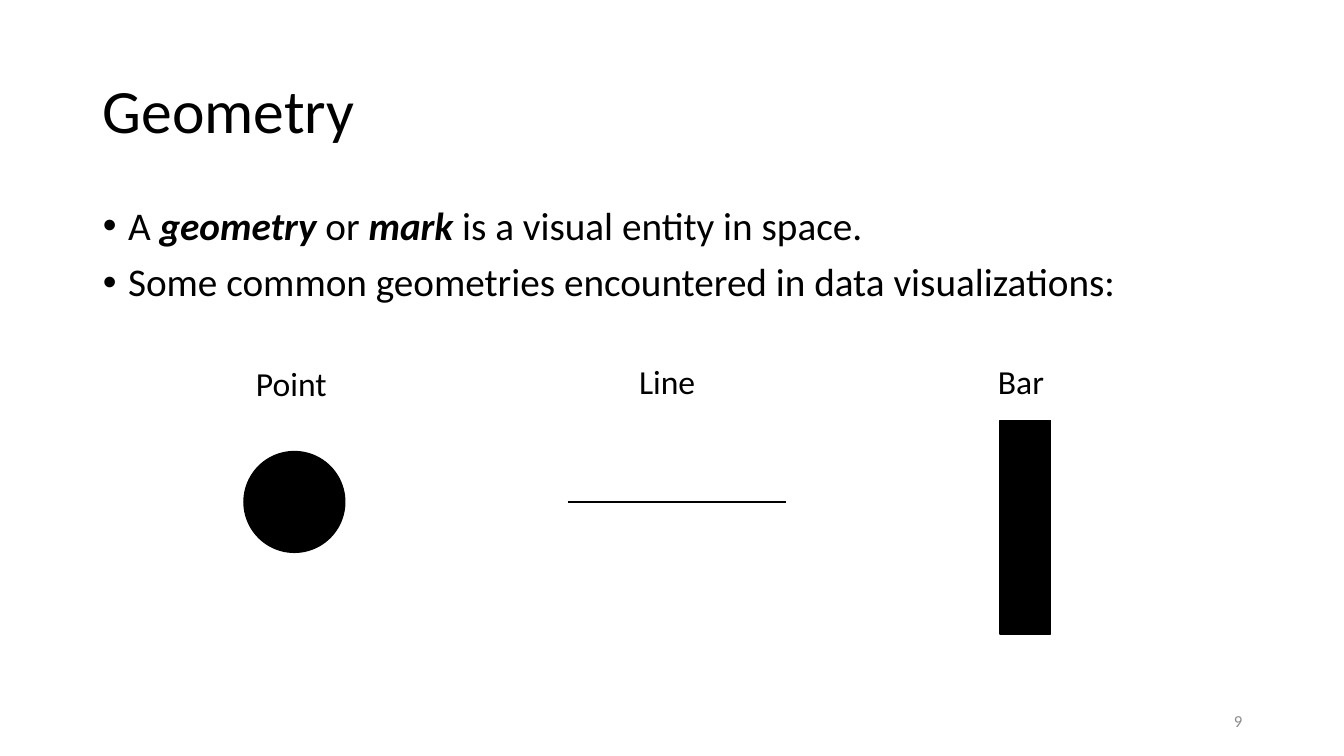
from pptx import Presentation
from pptx.dml.color import RGBColor
from pptx.enum.shapes import MSO_CONNECTOR, MSO_SHAPE
from pptx.enum.text import MSO_ANCHOR, MSO_AUTO_SIZE, PP_ALIGN
from pptx.oxml.ns import qn
from pptx.util import Inches, Pt
from lxml import etree

BLACK = RGBColor(0x00, 0x00, 0x00)
GRAY = RGBColor(0x8C, 0x8C, 0x8C)


def place(shape, left, top, width, height):
    shape.left, shape.top = Inches(left), Inches(top)
    shape.width, shape.height = Inches(width), Inches(height)


def format_paragraph(paragraph, size, color=BLACK, line_spacing=0.9):
    paragraph.line_spacing = line_spacing
    paragraph.font.name = "Calibri"
    paragraph.font.size = Pt(size)
    paragraph.font.color.rgb = color


prs = Presentation()
prs.slide_width, prs.slide_height = Inches(13.33), Inches(7.5)
slide = prs.slides.add_slide(prs.slide_layouts[1])
title, body = slide.placeholders

# Title
place(title, 0.92, 0.4, 11.5, 1.45)
title.text_frame.text = "Geometry"
title.text_frame.vertical_anchor = MSO_ANCHOR.MIDDLE
title.text_frame.auto_size = MSO_AUTO_SIZE.NONE
heading = title.text_frame.paragraphs[0]
heading.alignment = PP_ALIGN.LEFT
format_paragraph(heading, 44)

# Definition list: (text, emphasized) runs for each bullet
bullets = [
    [("A ", False), ("geometry ", True), ("or ", False), ("mark ", True),
     ("is a visual entity in space.", False)],
    [("Some common geometries encountered in data visualizations:", False)],
]
place(body, 0.92, 2, 11.5, 4.76)
body.text_frame.auto_size = MSO_AUTO_SIZE.NONE
for index, runs in enumerate(bullets):
    bullet = body.text_frame.paragraphs[0] if index == 0 else body.text_frame.add_paragraph()
    properties = bullet._p.get_or_add_pPr()
    properties.set("marL", str(Inches(0.25)))
    properties.set("indent", str(-Inches(0.25)))
    etree.SubElement(properties, qn("a:buFont")).set("typeface", "Arial")
    etree.SubElement(properties, qn("a:buChar")).set("char", "•")
    bullet.space_before = Pt(10 if index else 0)
    format_paragraph(bullet, 28)
    for text, emphasized in runs:
        run = bullet.add_run()
        run.text = text
        if emphasized:
            run.font.bold = run.font.italic = True

# Sample geometries
point = slide.shapes.add_shape(
    MSO_SHAPE.OVAL, Inches(2.42), Inches(4.48), Inches(1), Inches(1))
line = slide.shapes.add_connector(
    MSO_CONNECTOR.STRAIGHT, Inches(5.63), Inches(4.98), Inches(7.8), Inches(4.98))
etree.SubElement(line._element.spPr, qn("a:effectLst"))
bar = slide.shapes.add_shape(
    MSO_SHAPE.RECTANGLE, Inches(9.92), Inches(4.17), Inches(0.5), Inches(2.12))
for mark in (point, bar):
    mark.shadow.inherit = False
    mark.fill.solid()
    mark.fill.fore_color.rgb = BLACK
for mark in (point, line, bar):
    mark.line.color.rgb = BLACK
    mark.line.width = Pt(1)

# Labels above the geometries
for name, left, top, width in [
    ("Point", 2.44, 3.6, 0.91),
    ("Line", 6.24, 3.58, 0.77),
    ("Bar", 9.8, 3.58, 0.66),
]:
    label = slide.shapes.add_textbox(
        Inches(left), Inches(top), Inches(width), Inches(0.46)).text_frame
    label.text = name
    label.word_wrap = False
    label.auto_size = MSO_AUTO_SIZE.SHAPE_TO_FIT_TEXT
    format_paragraph(label.paragraphs[0], 24)

# Slide number
slide_number = slide.shapes.add_textbox(
    Inches(9.42), Inches(6.95), Inches(3), Inches(0.4)).text_frame
slide_number.text = "9"
slide_number.word_wrap = True
slide_number.vertical_anchor = MSO_ANCHOR.MIDDLE
slide_number.paragraphs[0].alignment = PP_ALIGN.RIGHT
format_paragraph(slide_number.paragraphs[0], 12, GRAY, 1.0)

prs.save("out.pptx")
